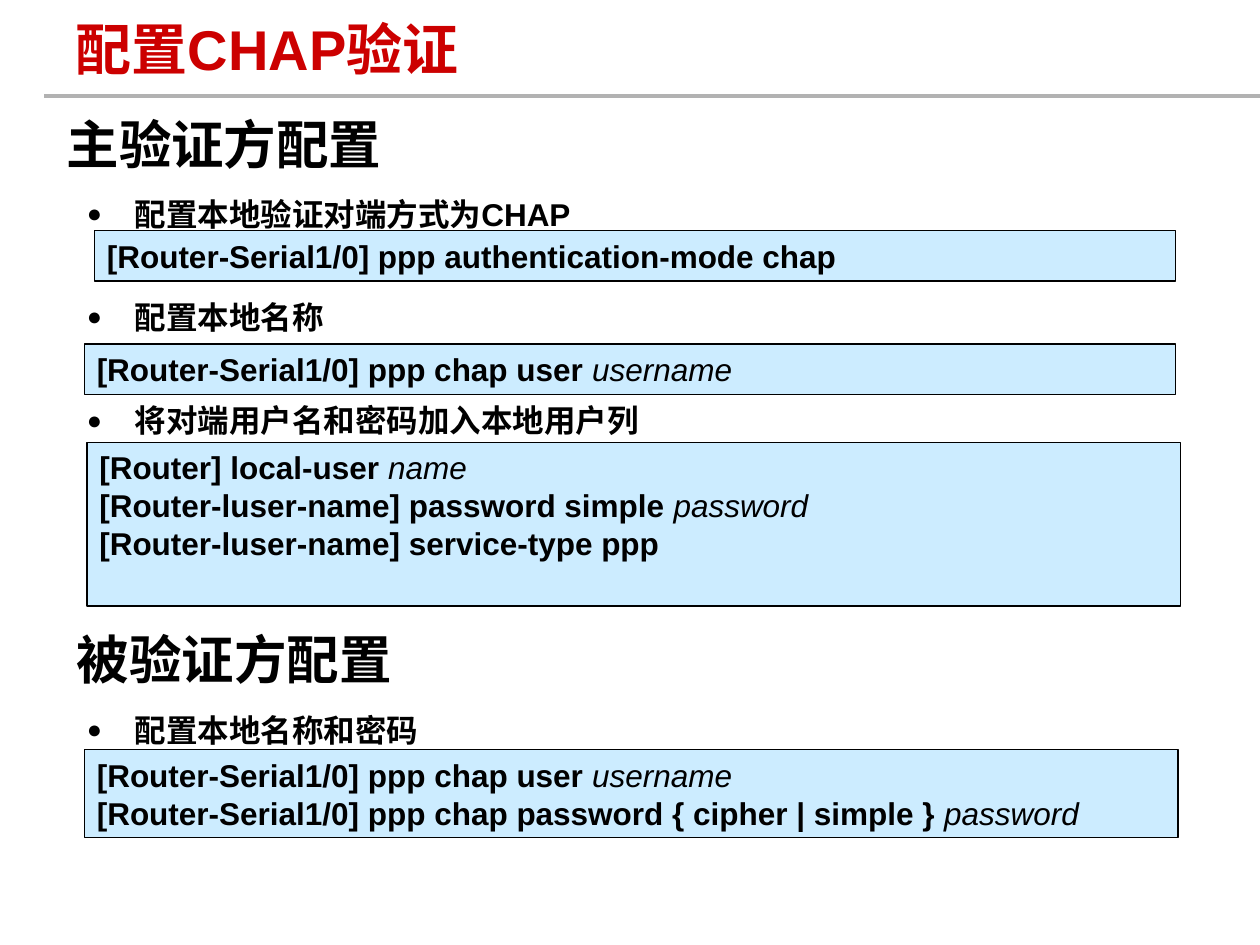
from pptx import Presentation
from pptx.dml.color import RGBColor
from pptx.enum.shapes import MSO_CONNECTOR, MSO_SHAPE
from pptx.enum.text import MSO_ANCHOR, MSO_AUTO_SIZE, PP_ALIGN
from pptx.oxml.ns import qn
from pptx.util import Inches, Pt
from lxml.etree import SubElement

COLORS = {"title": "CC0000", "text": "000000", "rule": "B2B2B2", "code": "CCECFF"}


def color(name):
    return RGBColor.from_string(COLORS[name])


def add_run(p, text, size=18, fill="text", bold=True, italic=False):
    r = p.add_run()
    r.text = text
    r.font.name = "Arial"
    r.font.size = Pt(size)
    r.font.bold = bold
    r.font.italic = italic
    r.font.color.rgb = color(fill)


prs = Presentation()
prs.slide_width, prs.slide_height = Inches(10), Inches(7.5)
s = prs.slides.add_slide(prs.slide_layouts[1])

# Title and the rule under it
title = s.shapes.title
title.left, title.top = Inches(0.5), Inches(0.05)
title.width, title.height = Inches(7.92), Inches(0.67)
tf = title.text_frame
tf.auto_size = MSO_AUTO_SIZE.NONE
tf.vertical_anchor = MSO_ANCHOR.MIDDLE
tf.paragraphs[0].alignment = PP_ALIGN.LEFT
add_run(tf.paragraphs[0], "配置CHAP验证", size=32, fill="title")

rule = s.shapes.add_connector(
    MSO_CONNECTOR.STRAIGHT, Inches(0.35), Inches(0.76), Inches(10), Inches(0.76))
rule.line.color.rgb = color("rule")
rule.line.width = Pt(2.25)
SubElement(rule._element.spPr, qn("a:effectLst"))

# Bulleted steps, each with the space before it that its code box needs
steps = [
    ("配置本地验证对端方式为CHAP", 0),
    ("配置本地名称", 31.7),
    ("将对端用户名和密码加入本地用户列", 31.7),
    ("配置本地名称和密码", 149.9),
]
body = s.placeholders[1]
body.left, body.top = Inches(0.59), Inches(1.5)
body.width, body.height = Inches(8.43), Inches(5.17)
tf = body.text_frame
tf.auto_size = MSO_AUTO_SIZE.NONE
for i, (text, before) in enumerate(steps):
    p = tf.add_paragraph() if i else tf.paragraphs[0]
    pPr = p._p.get_or_add_pPr()
    pPr.set("marL", str(Inches(0.38)))
    pPr.set("indent", str(-Inches(0.38)))
    SubElement(SubElement(pPr, qn("a:buClr")), qn("a:srgbClr"), val=COLORS["text"])
    SubElement(pPr, qn("a:buSzPct"), val="80000")
    SubElement(pPr, qn("a:buFont"), typeface="Arial")
    SubElement(pPr, qn("a:buChar"), char="●")
    p.space_before, p.space_after = Pt(before), Pt(5.6)
    add_run(p, text)

# Section headings
for text, left, top in [("主验证方配置", 0.43, 0.84), ("被验证方配置", 0.51, 4.93)]:
    box = s.shapes.add_textbox(Inches(left), Inches(top), Inches(2.7), Inches(0.6))
    box.text_frame.word_wrap = False
    add_run(box.text_frame.paragraphs[0], text, size=30)

# Code boxes: position, then lines of (command, argument)
user_line = ("[Router-Serial1/0] ppp chap user ", "username")
code_boxes = [
    (0.75, 1.83, 8.58, 0.4, [("[Router-Serial1/0] ppp authentication-mode chap", "")]),
    (0.67, 2.73, 8.66, 0.4, [user_line]),
    (0.69, 3.51, 8.68, 1.3, [
        ("[Router] local-user ", "name"),
        ("[Router-luser-name] password simple ", "password"),
        ("[Router-luser-name] service-type ppp", ""),
    ]),
    (0.67, 5.95, 8.68, 0.7, [
        user_line,
        ("[Router-Serial1/0] ppp chap password { cipher | simple } ", "password"),
    ]),
]
for left, top, width, height, lines in code_boxes:
    sp = s.shapes.add_shape(
        MSO_SHAPE.RECTANGLE, Inches(left), Inches(top), Inches(width), Inches(height))
    sp.shadow.inherit = False
    sp.fill.solid()
    sp.fill.fore_color.rgb = color("code")
    sp.line.color.rgb = color("text")
    sp.line.width = Pt(0.75)
    tf = sp.text_frame
    tf.word_wrap = True
    tf.vertical_anchor = MSO_ANCHOR.TOP
    for i, (command, argument) in enumerate(lines):
        p = tf.add_paragraph() if i else tf.paragraphs[0]
        p.alignment = PP_ALIGN.LEFT
        add_run(p, command)
        if argument:
            add_run(p, argument, bold=False, italic=True)

prs.save("out.pptx")
